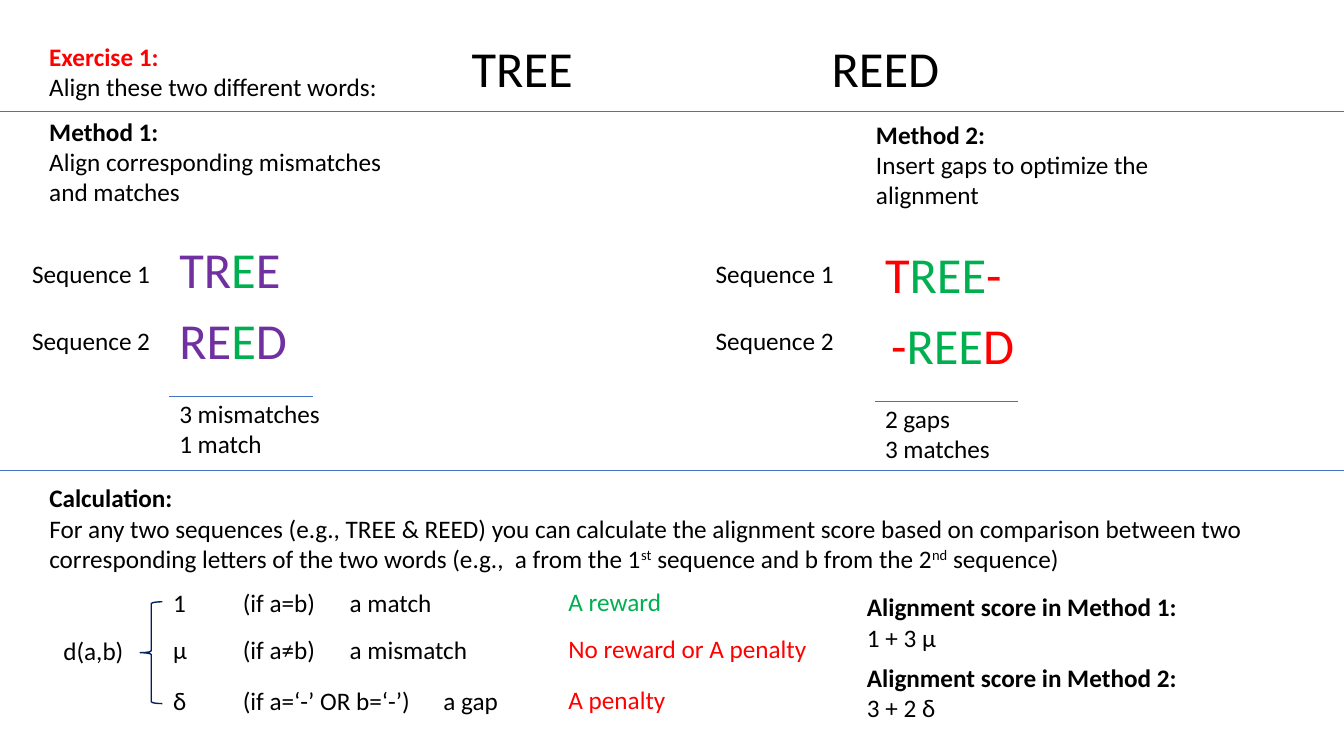
from dataclasses import dataclass

from lxml import etree
from pptx import Presentation
from pptx.dml.color import RGBColor
from pptx.enum.shapes import MSO_CONNECTOR, MSO_SHAPE
from pptx.enum.text import MSO_AUTO_SIZE
from pptx.oxml.ns import qn
from pptx.util import Inches, Pt

STRAIGHT = MSO_CONNECTOR.STRAIGHT
LEFT_BRACE = MSO_SHAPE.LEFT_BRACE
FIT_SHAPE = MSO_AUTO_SIZE.SHAPE_TO_FIT_TEXT


@dataclass(frozen=True)
class Theme:
    font: str = "Calibri"
    body: int = 18
    word: int = 36
    black: str = "000000"
    red: str = "FF0000"
    green: str = "00B050"
    purple: str = "7030A0"
    rule: str = "4472C4"
    brace: str = "002060"


THEME = Theme()


@dataclass(frozen=True)
class Span:
    text: str
    color: str = THEME.black
    size: int = THEME.body
    bold: bool = False
    raised: bool = False


def heading(text, color=THEME.black):
    return [Span(text, color, bold=True)]


def plain(text, color=THEME.black):
    return [Span(text, color)]


def word(*parts):
    return [Span(text, color, THEME.word) for text, color in parts]


def add_text(page, left, top, width, height, *paragraphs):
    """Add a text box; each paragraph is a list of spans."""
    box = page.shapes.add_textbox(
        Inches(left), Inches(top), Inches(width), Inches(height))
    frame = box.text_frame
    frame.word_wrap = True
    frame.auto_size = FIT_SHAPE
    for index, spans in enumerate(paragraphs):
        para = frame.add_paragraph() if index else frame.paragraphs[0]
        for span in spans:
            run = para.add_run()
            run.text = span.text
            run.font.name = THEME.font
            run.font.size = Pt(span.size)
            run.font.bold = span.bold
            run.font.color.rgb = RGBColor.from_string(span.color)
            if span.raised:
                run.font._element.set("baseline", "30000")
    return box


def set_tabs(para, *stops):
    tab_list = etree.SubElement(para._p.get_or_add_pPr(), qn("a:tabLst"))
    for stop in stops:
        etree.SubElement(tab_list, qn("a:tab"), pos=str(Inches(stop)), algn="l")


def add_rule(page, left, top, width):
    rule = page.shapes.add_connector(
        STRAIGHT, Inches(left), Inches(top), Inches(left + width), Inches(top))
    rule.line.color.rgb = RGBColor.from_string(THEME.rule)
    rule.line.width = Pt(0.5)
    etree.SubElement(rule._element.spPr, qn("a:effectLst"))


def add_brace(page, left, top, width, height):
    brace = page.shapes.add_shape(
        LEFT_BRACE, Inches(left), Inches(top), Inches(width), Inches(height))
    brace.shadow.inherit = False
    brace.fill.background()
    brace.line.color.rgb = RGBColor.from_string(THEME.brace)
    brace.line.width = Pt(1)


def add_alignment(page, label_left, column, top, words, indent, results):
    """Two labelled sequences, a rule and the count below it."""
    for row, letters in enumerate(words):
        add_text(page, label_left, 2.51 + 0.67 * row, 1.45, 0.4,
                 plain(f"Sequence {row + 1}"))
        add_text(page, column + indent * row, top + 0.71 * row, 1.64, 0.71,
                 word(*letters))
    add_rule(page, column, top + 1.62, 1.42)
    add_text(page, column, top + 1.59, 1.93, 0.71, *map(plain, results))


def add_case(page, top, symbol, condition, meaning, meaning_stop, effect, color):
    """One line of the scoring rule with its effect."""
    box = add_text(page, 1.62, top, 3.8, 0.4,
                   plain(f"{symbol}\t{condition}\t{meaning}"))
    set_tabs(box.text_frame.paragraphs[0], 0.69, meaning_stop)
    add_text(page, 5.54, top - 0.01, 2.8, 0.4, plain(effect, color))


def main():
    deck = Presentation()
    deck.slide_width, deck.slide_height = Inches(13.33), Inches(7.5)
    page = deck.slides.add_slide(deck.slide_layouts[6])
    red, green, purple = THEME.red, THEME.green, THEME.purple

    # Exercise
    add_text(page, 0.39, 0.36, 3.9, 0.71, heading("Exercise 1:", red),
             plain("Align these two different words:"))
    for left, text in ((4.58, "TREE"), (8.15, "REED")):
        add_text(page, left, 0.32, 1.4, 0.71, word((text, THEME.black)))

    # Section dividers
    for top in (1.1, 4.67):
        add_rule(page, 0, top, 13.33)

    # Methods
    add_text(page, 0.39, 1.1, 3.9, 1.01, heading("Method 1:"),
             plain("Align corresponding mismatches and matches"))
    add_alignment(page, 0.22, 1.68, 2.31,
                  ([("TR", purple), ("E", green), ("E", purple)],
                   [("RE", purple), ("E", green), ("D", purple)]),
                  0, ("3 mismatches", "1 match"))
    add_text(page, 8.59, 1.13, 3.9, 1.01, heading("Method 2:"),
             plain("Insert gaps to optimize the alignment"))
    add_alignment(page, 7, 8.68, 2.36,
                  ([("T", red), ("REE", green), ("-", red)],
                   [("-", red), ("REE", green), ("D", red)]),
                  0.06, ("2 gaps", "3 matches"))

    # Calculation
    add_text(page, 0.39, 4.74, 12.61, 1.01, heading("Calculation:"), [
        Span("For any two sequences (e.g., TREE & REED) you can calculate the "
             "alignment score based on comparison between two corresponding "
             "letters of the two words (e.g.,  a from the 1"),
        Span("st", raised=True),
        Span(" sequence and b from the 2"),
        Span("nd", raised=True),
        Span(" sequence)")])

    # Scoring rule
    add_text(page, 0.53, 6.25, 0.9, 0.4, plain("d(a,b)"))
    add_brace(page, 1.39, 5.97, 0.22, 1.01)
    cases = (
        (5.78, "1", "(if a=b)", "a match", 1.75, "A reward", green),
        (6.24, "μ", "(if a≠b)", "a mismatch", 1.75,
         "No reward or A penalty", red),
        (6.75, "δ", "(if a=‘-’ OR b=‘-’)", "a gap", 2.68, "A penalty", red),
    )
    for case in cases:
        add_case(page, *case)

    # Scores
    for number, score in enumerate(("1 + 3 μ", "3 + 2 δ")):
        add_text(page, 8.5, 5.82 + 0.7 * number, 3.9, 0.71,
                 heading(f"Alignment score in Method {number + 1}:"),
                 plain(score))

    deck.save("out.pptx")


if __name__ == "__main__":
    main()
